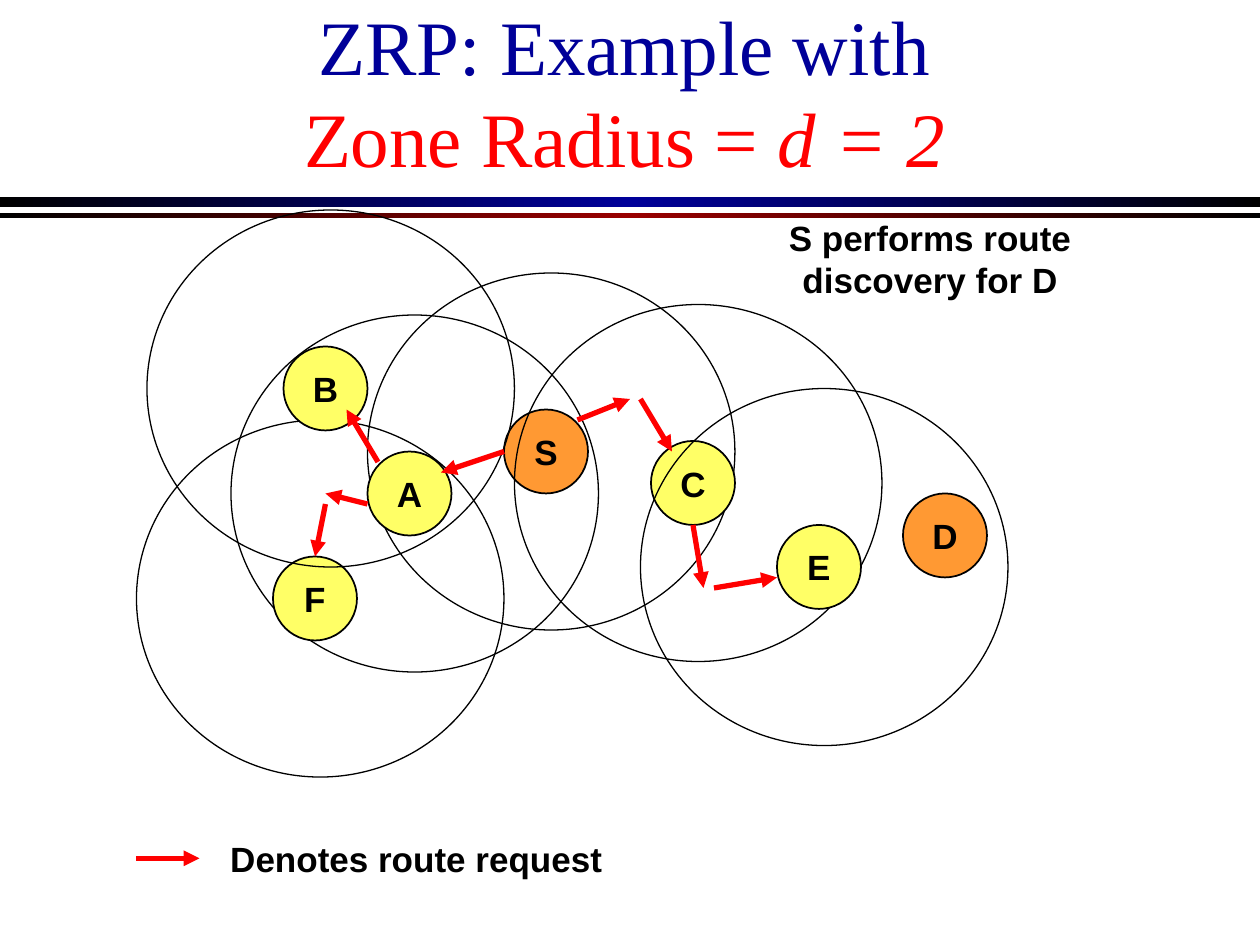
from lxml.etree import SubElement
from pptx import Presentation
from pptx.dml.color import RGBColor
from pptx.enum.shapes import MSO_CONNECTOR, MSO_SHAPE
from pptx.enum.text import MSO_ANCHOR, PP_ALIGN
from pptx.oxml.ns import qn
from pptx.util import Pt

COLORS = {
    "black": "000000",
    "blue": "000099",
    "maroon": "990000",
    "red": "FF0000",
    "relay": "FFFF66",
    "endpoint": "FF9933",
}
NODE_SIZE = 48
ZONE_SIZE = (210, 204)
ZONE_OFFSET = 78
NODES = [
    ("S", 288, 234, "endpoint", True),
    ("C", 372, 252, "relay", True),
    ("A", 210, 258, "relay", True),
    ("E", 444, 300, "relay", True),
    ("F", 156, 318, "relay", True),
    ("B", 162, 198, "relay", True),
    ("D", 516, 282, "endpoint", False),
]
REQUESTS = [
    (330, 240, 360, 228),
    (366, 228, 384, 258),
    (288, 258, 252, 270),
    (216, 264, 198, 234),
    (210, 288, 186, 282),
    (186, 288, 180, 318),
    (396, 300, 402, 336),
    (408, 336, 444, 330),
    (78, 490.5, 114, 490.5),
]


def rgb(name):
    """Return the named colour."""
    return RGBColor.from_string(COLORS[name])


def add_band(s, top, height, color):
    """Add a full-width band fading from black to a colour and back."""
    sp = s.shapes.add_shape(MSO_SHAPE.RECTANGLE, 0, Pt(top), Pt(720), Pt(height))
    sp.shadow.inherit = False
    sp.line.fill.background()
    sp.fill.gradient()
    sp.fill.gradient_angle = 0
    stops = sp._element.spPr.find(qn("a:gradFill")).find(qn("a:gsLst"))
    for stop in list(stops):
        stops.remove(stop)
    for pos, name in ((0, "black"), (50, color), (100, "black")):
        stop = SubElement(stops, qn("a:gs"), pos=str(pos * 1000))
        SubElement(stop, qn("a:srgbClr"), val=COLORS[name])


def add_title_run(p, text, color, italic=False):
    """Add a coloured run to the title."""
    r = p.add_run()
    r.text = text
    r.font.color.rgb = rgb(color)
    r.font.italic = italic


def add_title(s):
    """Add the two-line title in two colours."""
    tf = s.shapes.add_textbox(Pt(48), Pt(18), Pt(618), Pt(90)).text_frame
    tf.word_wrap = True
    tf.vertical_anchor = MSO_ANCHOR.BOTTOM
    p = tf.paragraphs[0]
    p.alignment = PP_ALIGN.CENTER
    p.font.size, p.font.name = Pt(44), "Times New Roman"
    add_title_run(p, "ZRP: Example with", "blue")
    p.add_line_break()
    add_title_run(p, "Zone Radius = ", "red")
    add_title_run(p, "d = 2", "red", italic=True)


def add_circle(s, left, top, width, height, line_width):
    """Add an unfilled black-outlined ellipse."""
    sp = s.shapes.add_shape(MSO_SHAPE.OVAL, Pt(left), Pt(top), Pt(width), Pt(height))
    sp.shadow.inherit = False
    sp.fill.background()
    sp.line.color.rgb = rgb("black")
    sp.line.width = Pt(line_width)
    return sp


def write_label(tf, lines, align):
    """Write bold label lines, one paragraph each."""
    tf.word_wrap = False
    tf.vertical_anchor = MSO_ANCHOR.MIDDLE
    tf.text = "\n".join(lines)
    for p in tf.paragraphs:
        p.alignment = align
        p.font.size, p.font.name, p.font.bold = Pt(20), "Arial", True
        p.font.color.rgb = rgb("black")


def add_node(s, name, left, top, color, has_zone):
    """Add a network node on top of its routing zone."""
    if has_zone:
        add_circle(s, left - ZONE_OFFSET, top - ZONE_OFFSET, *ZONE_SIZE, 0.75)
    sp = add_circle(s, left, top, NODE_SIZE, NODE_SIZE, 1)
    sp.fill.solid()
    sp.fill.fore_color.rgb = rgb(color)
    write_label(sp.text_frame, [name], PP_ALIGN.CENTER)


def add_request(s, *ends):
    """Add a red route request arrow."""
    line = s.shapes.add_connector(MSO_CONNECTOR.STRAIGHT, *map(Pt, ends))
    line.line.color.rgb = rgb("red")
    line.line.width = Pt(3)
    SubElement(line.line._get_or_add_ln(), qn("a:tailEnd"), type="triangle")
    SubElement(line._element.spPr, qn("a:effectLst"))


def add_caption(s, left, top, width, height, lines, align):
    """Add a bold caption."""
    sp = s.shapes.add_textbox(Pt(left), Pt(top), Pt(width), Pt(height))
    write_label(sp.text_frame, lines, align)


def main():
    """Build the slide and save it."""
    prs = Presentation()
    prs.slide_width, prs.slide_height = Pt(720), Pt(540)
    s = prs.slides.add_slide(prs.slide_layouts[6])
    add_band(s, 112.5, 6, "blue")
    add_band(s, 121.5, 3, "maroon")
    add_title(s)
    for node in NODES:
        add_node(s, *node)
    for request in REQUESTS:
        add_request(s, *request)
    add_caption(s, 441.5, 120, 180, 55.5,
                ["S performs route", "discovery for D"], PP_ALIGN.CENTER)
    add_caption(s, 124.5, 475, 230, 31.5, ["Denotes route request"], PP_ALIGN.LEFT)
    prs.save("out.pptx")


if __name__ == "__main__":
    main()
